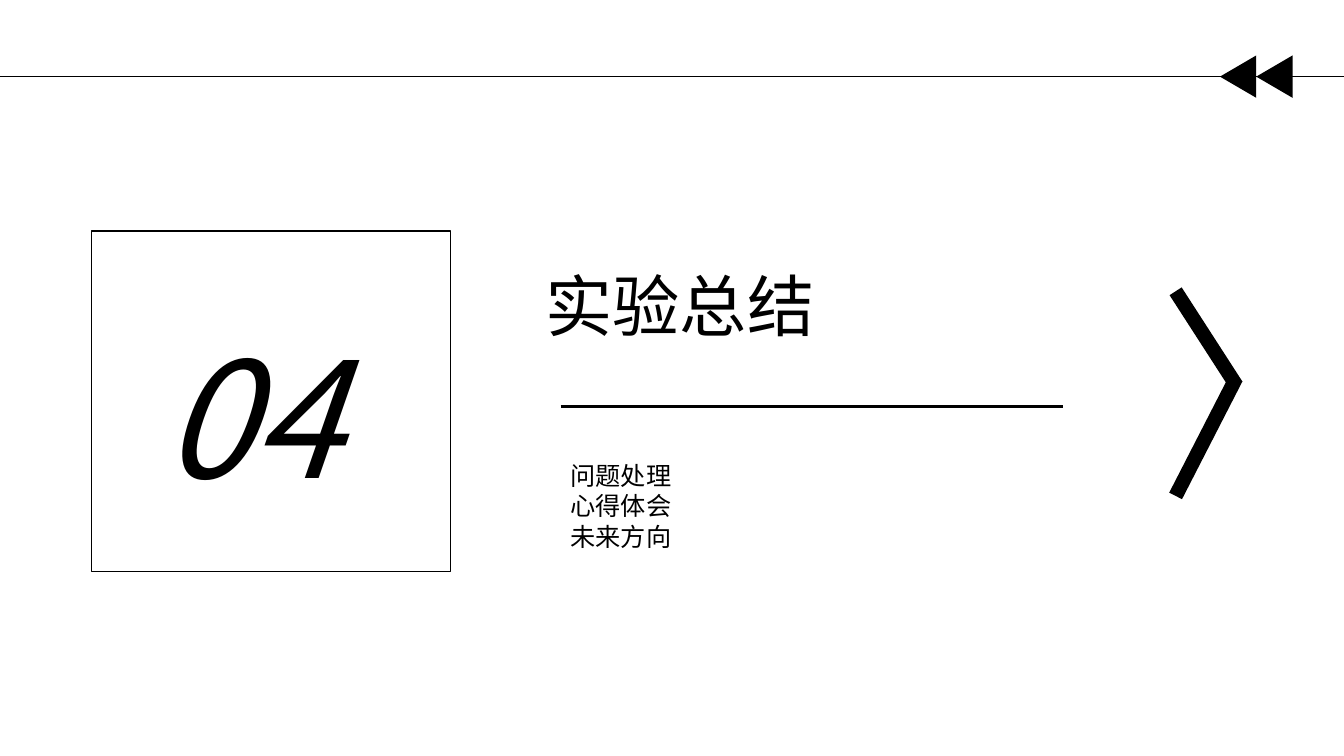
from typing import NamedTuple

from lxml import etree
from pptx import Presentation
from pptx.dml.color import RGBColor
from pptx.enum import shapes, text
from pptx.oxml import ns
from pptx.util import Inches, Pt

COLORS = {"ink": "000000", "paper": "FFFFFF"}
FONT = "Noto Sans CJK SC"
LINE_HEIGHT = 1.21
TOP_SHIFT = 0.08


class Rule(NamedTuple):
    start: tuple[float, float]
    end: tuple[float, float]
    weight: float


class Box(NamedTuple):
    left: float
    top: float
    width: float
    height: float

    def lengths(self) -> list[int]:
        return [Inches(value) for value in self]


def color(name: str) -> RGBColor:
    return RGBColor.from_string(COLORS[name])


def draw_rule(slide, rule: Rule) -> None:
    line = slide.shapes.add_connector(
        shapes.MSO_CONNECTOR.STRAIGHT,
        *[Inches(value) for value in rule.start + rule.end])
    line.line.color.rgb = color("ink")
    line.line.width = Pt(rule.weight)
    etree.SubElement(line._element.spPr, ns.qn("a:effectLst"))


def draw_shape(slide, kind: shapes.MSO_SHAPE, box: Box, fill: str):
    shape = slide.shapes.add_shape(kind, *box.lengths())
    shape.shadow.inherit = False
    shape.fill.solid()
    shape.fill.fore_color.rgb = color(fill)
    shape.line.fill.background()
    return shape


def write_lines(shape, lines: list[str], size: float, italic: bool = False,
                align: text.PP_ALIGN = text.PP_ALIGN.LEFT) -> None:
    """Fill a text shape from its top edge with evenly pitched lines."""
    frame = shape.text_frame
    frame.word_wrap = True
    frame.auto_size = text.MSO_AUTO_SIZE.NONE
    frame.vertical_anchor = text.MSO_ANCHOR.TOP
    frame.margin_left = frame.margin_right = Inches(0.1)
    frame.margin_top = Inches(0.05 + TOP_SHIFT * size / 72)
    frame.margin_bottom = 0
    for index, line in enumerate(lines):
        paragraph = frame.add_paragraph() if index else frame.paragraphs[0]
        paragraph.alignment = align
        paragraph.line_spacing = Pt(LINE_HEIGHT * size)
        paragraph.space_before = paragraph.space_after = Pt(0)
        run = paragraph.add_run()
        run.text = line
        run.font.name = FONT
        run.font.size = Pt(size)
        run.font.italic = italic
        run.font.color.rgb = color("ink")
        east_asian = etree.SubElement(run.font._element, ns.qn("a:ea"))
        east_asian.set("typeface", FONT)


def main() -> None:
    deck = Presentation()
    deck.slide_width, deck.slide_height = Inches(13.33), Inches(7.5)
    slide = deck.slides.add_slide(deck.slide_layouts[5])
    slide.background.fill.solid()
    slide.background.fill.fore_color.rgb = color("paper")

    draw_rule(slide, Rule((0, 0.76), (13.33, 0.76), 0.5))
    for left in (12.43, 12.07):
        rewind = draw_shape(slide, shapes.MSO_SHAPE.ISOSCELES_TRIANGLE,
                            Box(left, 0.58, 0.42, 0.36), "ink")
        rewind.rotation = 270

    number_frame = draw_shape(slide, shapes.MSO_SHAPE.RECTANGLE,
                              Box(0.91, 2.29, 3.56, 3.38), "paper")
    number_frame.line.color.rgb = color("ink")
    number_frame.line.width = Pt(1)
    number = slide.shapes.add_textbox(*Box(1.5, 2.96, 2.38, 2.04).lengths())
    write_lines(number, ["04"], 115, italic=True)

    chevron_upper = Rule((11.66, 2.89), (12.26, 3.82), 10.25)
    chevron_lower = Rule((12.26, 3.75), (11.66, 4.92), 10.25)
    title_rule = Rule((5.56, 4.03), (10.54, 4.03), 2.25)
    for rule in (chevron_upper, chevron_lower, title_rule):
        draw_rule(slide, rule)

    title = slide.shapes.title
    title.left, title.top, title.width, title.height = Box(
        5.31, 2.51, 5.23, 0.91).lengths()
    write_lines(title, ["实验总结"], 48, align=text.PP_ALIGN.JUSTIFY)

    topics = slide.shapes.add_textbox(*Box(5.56, 4.49, 6.11, 1.01).lengths())
    write_lines(topics, ["问题处理", "心得体会", "未来方向"], 18)

    deck.save("out.pptx")


if __name__ == "__main__":
    main()
